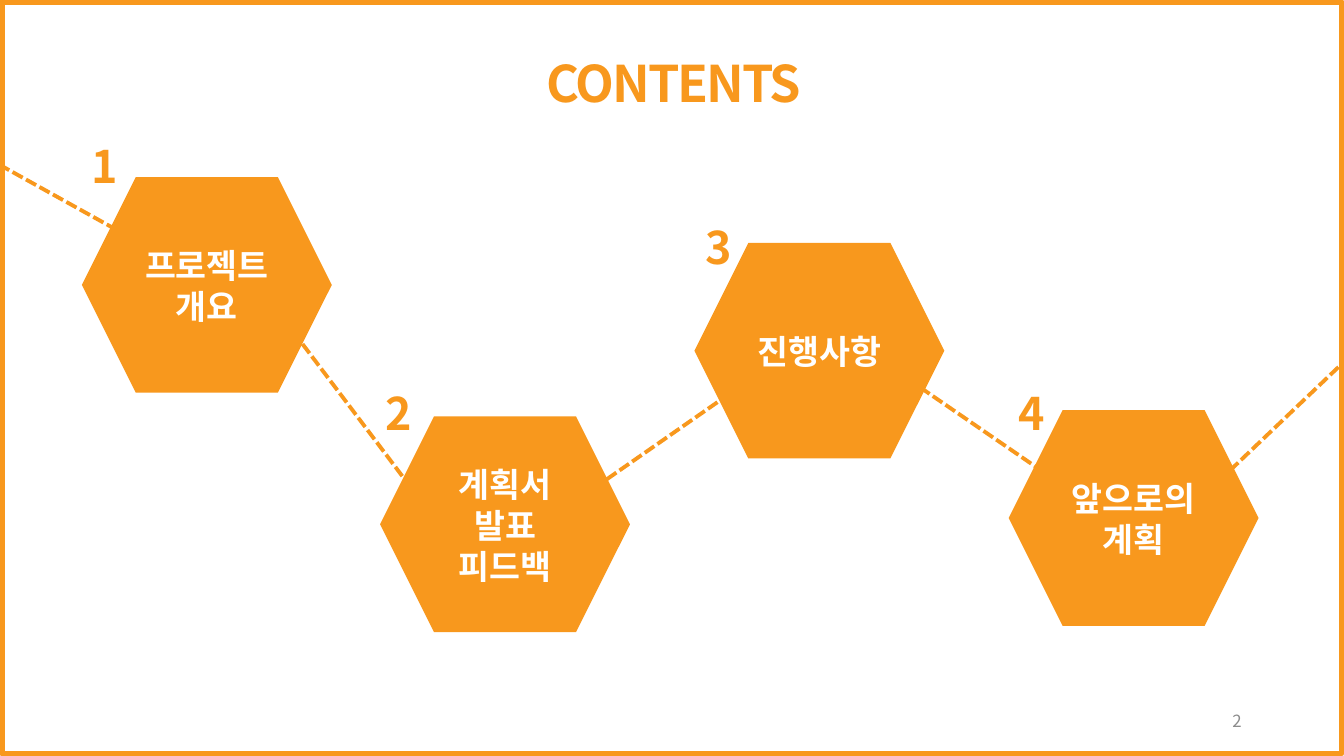
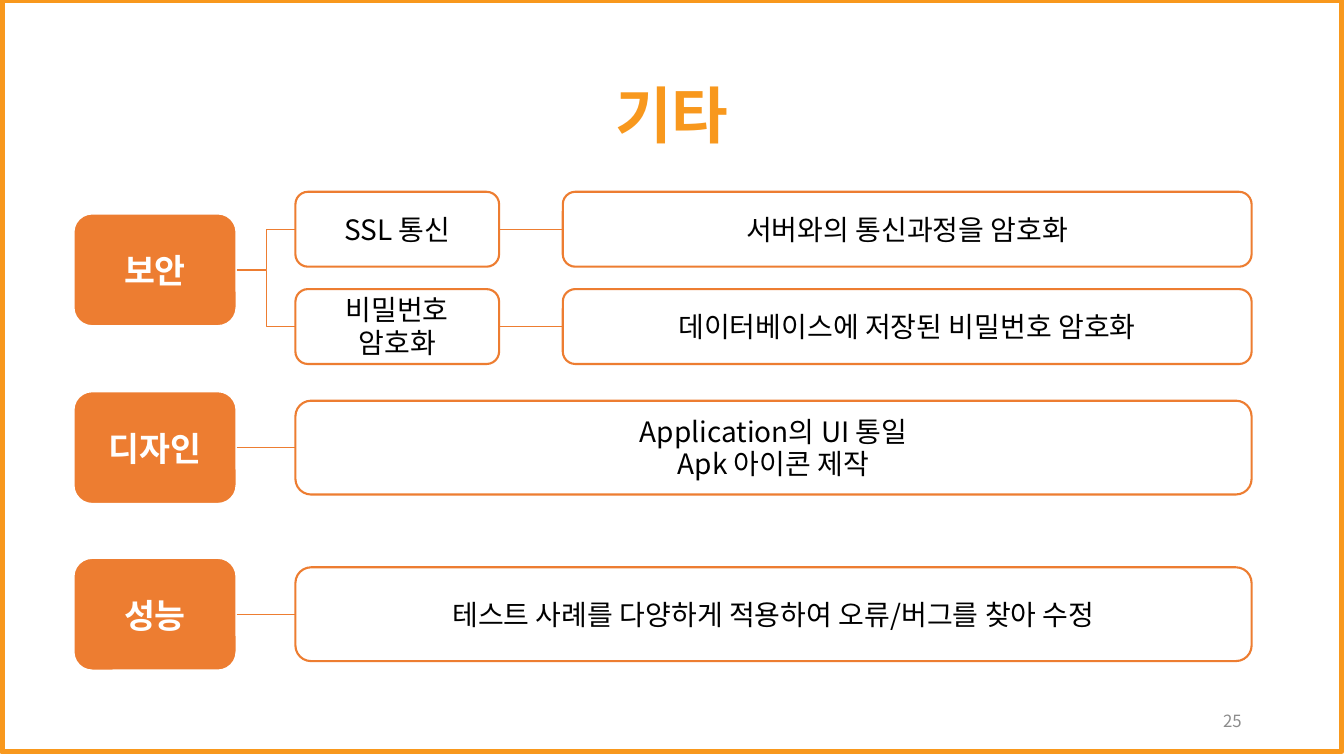
from lxml import etree
from pptx import Presentation
from pptx.dml.color import RGBColor
from pptx.enum.dml import MSO_LINE
from pptx.enum.shapes import MSO_CONNECTOR, MSO_SHAPE
from pptx.enum.text import MSO_ANCHOR, PP_ALIGN
from pptx.oxml.ns import qn
from pptx.util import Pt

ORANGE = RGBColor(0xF8, 0x98, 0x1D)
DEEP_ORANGE = RGBColor(0xED, 0x7D, 0x31)
WHITE = RGBColor(0xFF, 0xFF, 0xFF)
BLACK = RGBColor(0, 0, 0)
GREY = RGBColor(0x8C, 0x8C, 0x8C)
FONT = "Noto Sans CJK KR"
LABEL_FONT = "Arial"

RECTANGLE = MSO_SHAPE.RECTANGLE
ROUNDED = MSO_SHAPE.ROUNDED_RECTANGLE
HEXAGON = MSO_SHAPE.HEXAGON
STRAIGHT = MSO_CONNECTOR.STRAIGHT
ELBOW = MSO_CONNECTOR.ELBOW
DASH = MSO_LINE.SQUARE_DOT
CENTER = PP_ALIGN.CENTER
RIGHT = PP_ALIGN.RIGHT
TOP = MSO_ANCHOR.TOP
MIDDLE = MSO_ANCHOR.MIDDLE

# Text styles: leading is the line height in points.
HEADING = {"size": 36, "color": ORANGE, "bold": True, "leading": 46, "tracking": -1.5}
TITLE = {"size": 44, "color": ORANGE, "bold": True, "leading": 53}
NUMBER = {"size": 32, "color": ORANGE, "bold": True, "leading": 41, "tracking": -1.5}
TOPIC = {"size": 24, "color": WHITE, "bold": True, "leading": 29.3}
LABEL = {**TOPIC, "name": LABEL_FONT}
DETAIL = {"size": 20, "color": BLACK, "leading": 23.5}
FOOTER = {"size": 12, "color": GREY}

HEXAGON_SIZE = (178.5, 154)
NUMBER_SIZE = (52.5, 46)
ROW_LEFT, ROW_RIGHT = 52.5, 894
LABEL_WIDTH, LABEL_HEIGHT = 116.5, 80.5
DETAIL_LEFT = 211
BRANCH_WIDTH, BRANCH_GAP, BRANCH_HEIGHT = 145.5, 45.5, 53.5
WIDE_HEIGHT = 67

# Topic, left and top of its hexagon, offset of its number from there.
TOPICS = [
    ("프로젝트\v개요", 58.5, 126.5, -10, -33.5),
    ("계획서\v발표\v피드백", 271.5, 297.5, -13, -28),
    ("진행사항", 496, 173.5, -8.5, -23),
    ("앞으로의\n계획", 720.5, 293, -9.5, -23.5),
]
TRAIL = [
    (-29.5, 101.5, 100, 173.5),
    (209.5, 237, 299, 355.5),
    (521.5, 281, 427.5, 346.5),
    (630, 258, 748, 339),
    (972, 247, 875.5, 339),
]


def write(shape, text, style, align=CENTER, anchor=MIDDLE):
    frame = shape.text_frame
    frame.word_wrap = True
    frame.vertical_anchor = anchor
    frame.text = text
    values = {"name": style.get("name", FONT), "size": Pt(style["size"]),
              "bold": style.get("bold", False)}
    for para in frame.paragraphs:
        para.alignment = align
        if "leading" in style:
            para.line_spacing = Pt(style["leading"])
        for span in para.runs:
            for key, value in values.items():
                setattr(span.font, key, value)
            span.font.color.rgb = style["color"]
            properties = span.font._element
            etree.SubElement(properties, qn("a:ea")).set("typeface", FONT)
            if "tracking" in style:
                properties.set("spc", str(int(style["tracking"] * 100)))


def add_text(shapes, box, text, style, **layout):
    write(shapes.add_textbox(*map(Pt, box)), text, style, **layout)


def add_block(shapes, kind, box, fill=None, line=None, weight=1.5):
    block = shapes.add_shape(kind, *map(Pt, box))
    block.shadow.inherit = False
    if fill is None:
        block.fill.background()
    else:
        block.fill.solid()
        block.fill.fore_color.rgb = fill
    if line is None:
        block.line.fill.background()
    else:
        block.line.color.rgb = line
        block.line.width = Pt(weight)
    return block


def add_line(shapes, ends, color, weight, kind=STRAIGHT, dash=None):
    line = shapes.add_connector(kind, *map(Pt, ends))
    line.line.color.rgb = color
    line.line.width = Pt(weight)
    if dash is not None:
        line.line.dash_style = dash
    etree.SubElement(line._element.spPr, qn("a:effectLst"))


def add_page(deck, number, frame_top):
    """Add a blank page with the orange frame and the page number."""
    page = deck.slides.add_slide(deck.slide_layouts[6])
    add_text(page.shapes, (678, 500.5, 216, 28.5), number, FOOTER, align=RIGHT)
    add_block(page.shapes, RECTANGLE, (1.5, frame_top, 957, 537), line=ORANGE, weight=3.75)
    return page


def add_topic(page, number, topic, left, top, shift_x, shift_y):
    shapes = page.shapes.add_group_shape().shapes
    hexagon = add_block(shapes, HEXAGON, (left, top, *HEXAGON_SIZE), fill=ORANGE)
    write(hexagon, topic, TOPIC)
    add_text(shapes, (left + shift_x, top + shift_y, *NUMBER_SIZE), str(number), NUMBER,
             anchor=TOP)


def add_detail(shapes, left, right, middle, height, text):
    box = (left, middle - height / 2, right - left, height)
    write(add_block(shapes, ROUNDED, box, WHITE, DEEP_ORANGE), text, DETAIL)


def add_label(shapes, top, text):
    box = (ROW_LEFT, top, LABEL_WIDTH, LABEL_HEIGHT)
    write(add_block(shapes, ROUNDED, box, DEEP_ORANGE, WHITE), text, LABEL)
    return ROW_LEFT + LABEL_WIDTH, top + LABEL_HEIGHT / 2


def add_wide_row(page, top, label, text):
    shapes = page.shapes.add_group_shape().shapes
    start, middle = add_label(shapes, top, label)
    add_line(shapes, (start, middle, DETAIL_LEFT, middle), DEEP_ORANGE, 0.5)
    add_detail(shapes, DETAIL_LEFT, ROW_RIGHT, middle, WIDE_HEIGHT, text)


def add_branched_row(page, top, label, branches):
    """Add a label that forks into (offset from its middle, name, text) branches."""
    shapes = page.shapes.add_group_shape().shapes
    start, middle = add_label(shapes, top, label)
    branch_right = DETAIL_LEFT + BRANCH_WIDTH
    text_left = branch_right + BRANCH_GAP
    for offset, name, text in branches:
        level = middle + offset
        add_line(shapes, (start, middle, DETAIL_LEFT, level), DEEP_ORANGE, 0.5, ELBOW)
        add_detail(shapes, DETAIL_LEFT, branch_right, level, BRANCH_HEIGHT, name)
        add_line(shapes, (branch_right, level, text_left, level), DEEP_ORANGE, 0.5)
        add_detail(shapes, text_left, ROW_RIGHT, level, BRANCH_HEIGHT, text)


def build_contents(deck):
    page = add_page(deck, "2", 1.5)
    add_text(page.shapes, (368.5, 31, 226, 51), "CONTENTS", HEADING, anchor=TOP)
    for ends in TRAIL:
        add_line(page.shapes, ends, ORANGE, 2.75, dash=DASH)
    for number, topic in enumerate(TOPICS, 1):
        add_topic(page, number, *topic)


def build_others(deck):
    page = add_page(deck, "25", 0)
    add_text(page.shapes, (66, 29, 828, 104.5), "기타", TITLE)
    add_branched_row(page, 152.5, "보안", [
        (-29, "SSL 통신", "서버와의 통신과정을 암호화"),
        (40.5, "비밀번호\v암호화", "데이터베이스에 저장된 비밀번호 암호화"),
    ])
    add_wide_row(page, 279.5, "디자인", "Application의 UI 통일\nApk 아이콘 제작")
    add_wide_row(page, 398.5, "성능", "테스트 사례를 다양하게 적용하여 오류/버그를 찾아 수정")


def main():
    deck = Presentation()
    deck.slide_width, deck.slide_height = Pt(960), Pt(540)
    build_contents(deck)
    build_others(deck)
    deck.save("out.pptx")


if __name__ == "__main__":
    main()
